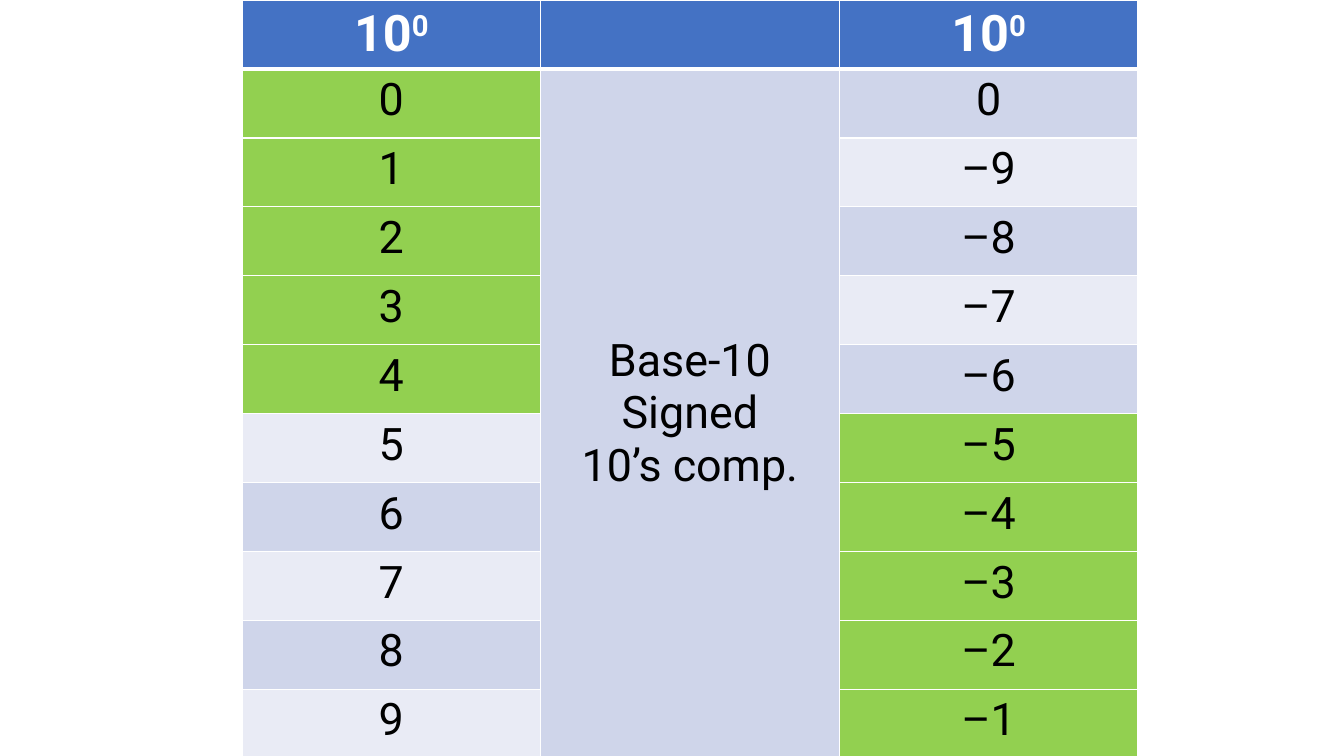
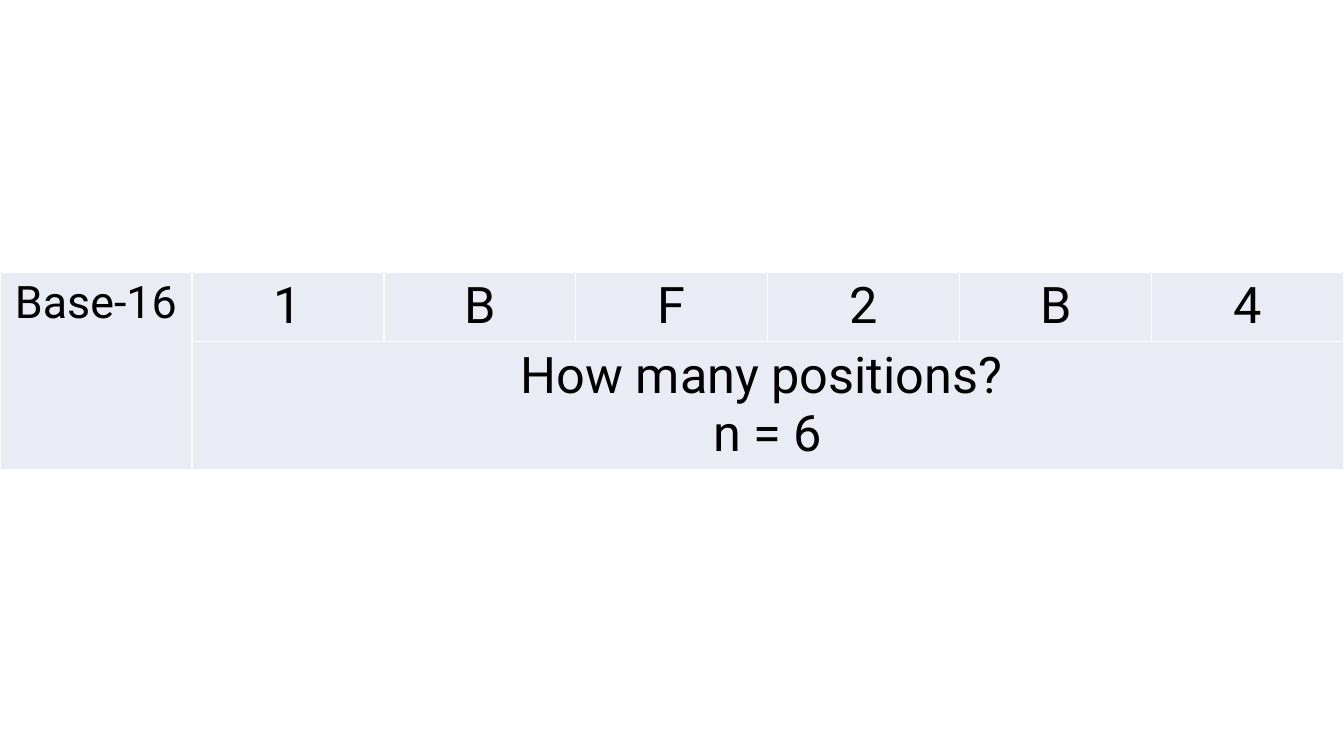
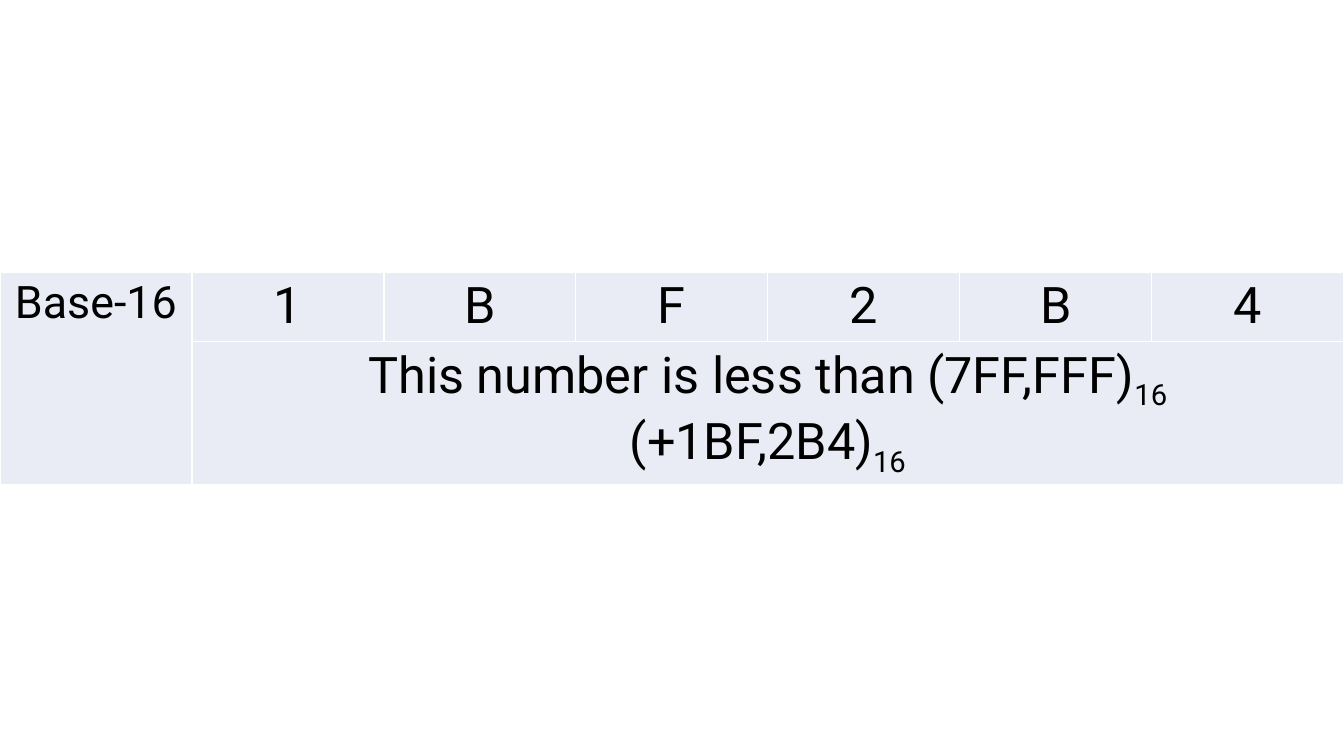
from lxml.etree import SubElement
from pptx import Presentation
from pptx.dml.color import RGBColor
from pptx.enum.text import MSO_ANCHOR, PP_ALIGN
from pptx.oxml import parse_xml
from pptx.oxml.ns import nsdecls, qn
from pptx.util import Inches, Pt

FONT = "Roboto"
WHITE, BLACK = "FFFFFF", "000000"
BLUE, GREEN = "4472C4", "92D050"
DARK_BAND, LIGHT_BAND = "CFD5EA", "E9EBF5"
WIDTH, HEIGHT = 13.33, 7.5
BASELINES = {"^": "30000", "_": "-25000"}
DIGITS = "1BF2B4"
ROW = 0.68


def rgb(value):
    return RGBColor.from_string(value)


def add_run(p, text, size, color, bold, baseline=None):
    r = p.add_run()
    r.text = text
    r.font.name, r.font.size, r.font.bold = FONT, Pt(size), bold
    r.font.color.rgb = rgb(color)
    if baseline:
        r._r.get_or_add_rPr().set("baseline", baseline)


def set_text(cell, lines, size=32, color=BLACK, bold=False):
    tf = cell.text_frame
    for i, line in enumerate(lines):
        p = tf.add_paragraph() if i else tf.paragraphs[0]
        p.alignment = PP_ALIGN.CENTER
        mark = next((m for m in BASELINES if m in line), None)
        body, _, script = line.partition(mark) if mark else (line, "", "")
        add_run(p, body, size, color, bold)
        if script:
            add_run(p, script, size, color, bold, BASELINES[mark])


def style_cell(cell, fill, bottom=1, top=None):
    cell.fill.solid()
    cell.fill.fore_color.rgb = rgb(fill)
    widths = {"lnL": 1, "lnR": 1, "lnT": top, "lnB": bottom}
    borders = [(side, w) for side, w in widths.items() if w]
    for i, (side, w) in enumerate(borders):
        ln = parse_xml(f'<a:{side} {nsdecls("a")} w="{Pt(w)}"/>')
        solid = SubElement(ln, qn("a:solidFill"))
        SubElement(solid, qn("a:srgbClr"), val=WHITE)
        cell._tc.get_or_add_tcPr().insert(i, ln)


def add_grid(prs, rows, cols, left, top, width, height):
    s = prs.slides.add_slide(prs.slide_layouts[6])
    box = [Inches(v) for v in (left, top, width, height)]
    return s.shapes.add_table(rows, cols, *box).table


def add_complement_slide(prs):
    width = WIDTH * 2 / 3
    table = add_grid(prs, 11, 3, 2.4, 0, width, 7.52)
    for col in range(3):
        style_cell(table.cell(0, col), BLUE, bottom=3, top=1)
    for col in (0, 2):
        set_text(table.cell(0, col), ["10^0"], 36, WHITE, True)
    for row in range(1, 11):
        value = row - 1
        band = DARK_BAND if row % 2 else LIGHT_BAND
        positive = value < 5
        style_cell(table.cell(row, 0), GREEN if positive else band)
        style_cell(table.cell(row, 1), DARK_BAND)
        style_cell(table.cell(row, 2), band if positive else GREEN)
        set_text(table.cell(row, 0), [str(value)])
        set_text(table.cell(row, 2), [f"–{10 - value}" if value else "0"])
    label = table.cell(1, 1)
    label.merge(table.cell(10, 1))
    label.vertical_anchor = MSO_ANCHOR.MIDDLE
    set_text(label, ["Base-10", "Signed", "10’s comp."])


def add_positions_slide(prs, lines, note_height):
    cols = len(DIGITS) + 1
    table = add_grid(prs, 2, cols, 0, 2.7, WIDTH, ROW + note_height)
    table.first_row = False
    table.rows[0].height = Inches(ROW)
    table.rows[1].height = Inches(note_height)
    for row in range(2):
        for col in range(cols):
            style_cell(table.cell(row, col), LIGHT_BAND, top=None if row else 1)
    table.cell(0, 0).merge(table.cell(1, 0))
    table.cell(1, 1).merge(table.cell(1, cols - 1))
    set_text(table.cell(0, 0), ["Base-16"])
    for col, digit in enumerate(DIGITS, 1):
        set_text(table.cell(0, col), [digit], 36)
    set_text(table.cell(1, 1), lines, 36)


def main():
    prs = Presentation()
    prs.slide_width, prs.slide_height = Inches(WIDTH), Inches(HEIGHT)
    add_complement_slide(prs)
    add_positions_slide(prs, ["How many positions? ", "n = 6"], 1.27)
    add_positions_slide(
        prs, ["This number is less than (7FF,FFF)_16", "(+1BF,2B4)_16"], 1.42)
    prs.save("out.pptx")


if __name__ == "__main__":
    main()
